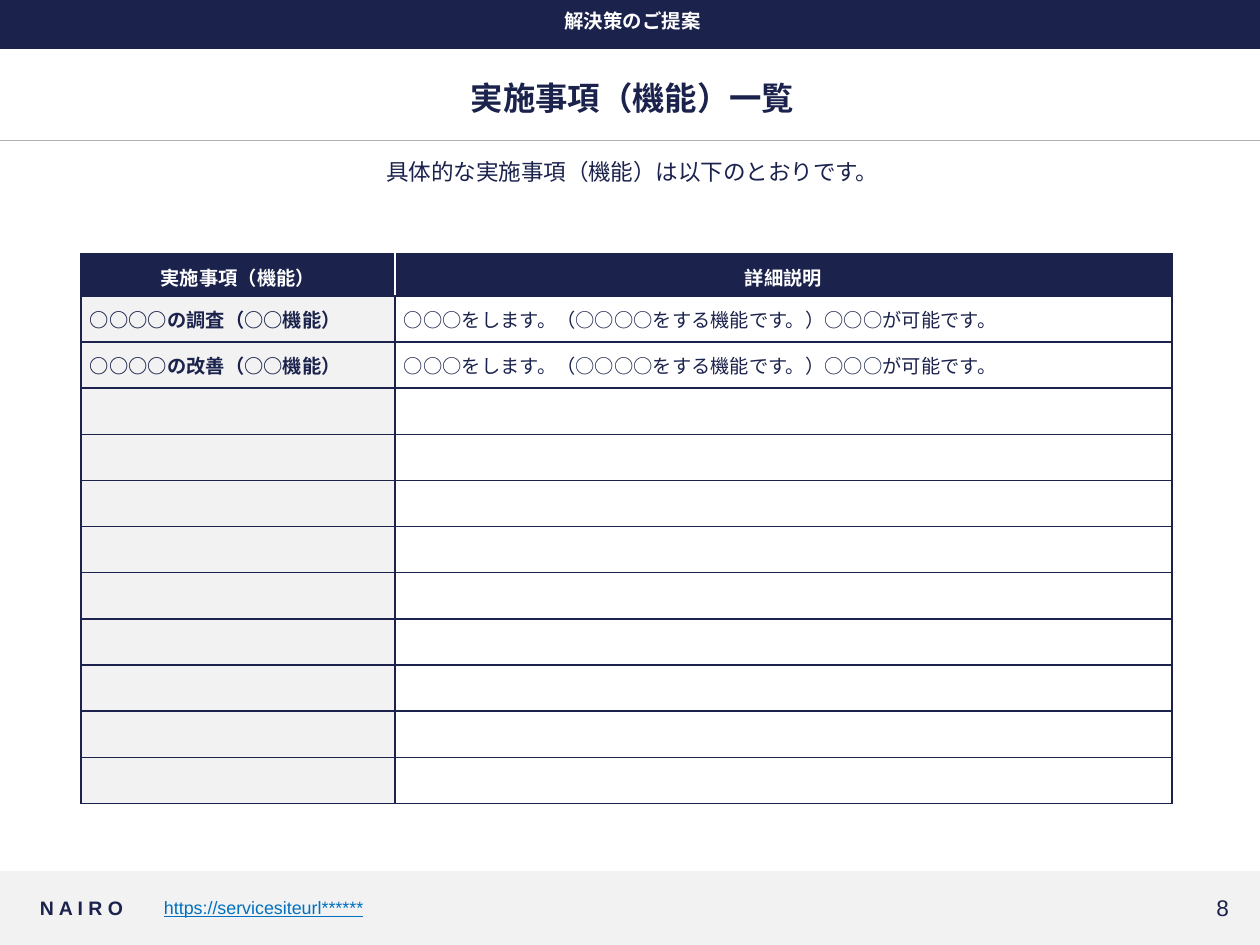
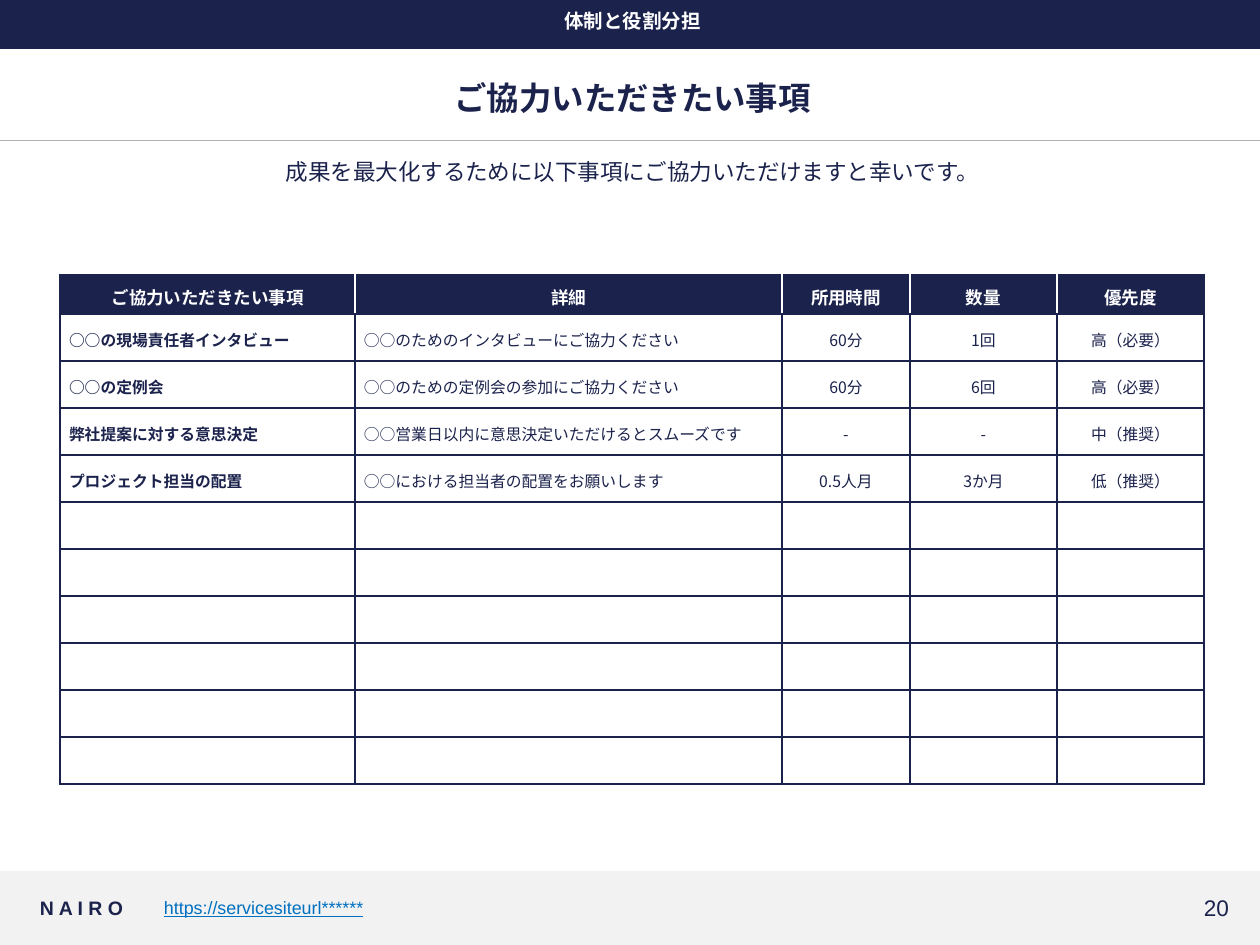
from lxml.etree import SubElement
from pptx import Presentation
from pptx.dml.color import RGBColor
from pptx.enum.shapes import MSO_CONNECTOR, MSO_SHAPE
from pptx.enum.text import MSO_ANCHOR, PP_ALIGN
from pptx.oxml.ns import qn
from pptx.util import Emu, Pt

NAVY, WHITE, PALE, GREY, LINK = "1B224C", "FFFFFF", "F2F2F2", "AFAFAF", "0070C0"
JP, LATIN = "Noto Sans CJK JP", "Arial"
LEFT, CENTER, RIGHT = PP_ALIGN.LEFT, PP_ALIGN.CENTER, PP_ALIGN.RIGHT
TOP, MIDDLE = MSO_ANCHOR.TOP, MSO_ANCHOR.MIDDLE
rgb = RGBColor.from_string


def px(n):
    """Turn pixels, 126 to the inch, into EMU."""
    return Emu(round(n * 914400 / 126))


def write(tf, text, size, font=JP, color=NAVY, bold=False, underline=False,
          align=LEFT, spacing=None):
    """Fill the first paragraph; an empty text still sets its line height."""
    p = tf.paragraphs[0]
    p.alignment = align
    if spacing:
        p.line_spacing = spacing
    if text:
        r = p.add_run()
        r.text = text
        r.font.size, r.font.bold, r.font.underline = Pt(size), bold, underline
        r.font.color.rgb = rgb(color)
        props = r._r.get_or_add_rPr()
    else:
        props = SubElement(p._p, qn("a:endParaRPr"), sz=str(size * 100))
    for tag in ("a:latin", "a:ea"):
        SubElement(props, qn(tag), typeface=font)


slides = [
    dict(
        chapter="解決策のご提案",
        title="実施事項（機能）一覧",
        lead="具体的な実施事項（機能）は以下のとおりです。",
        number="8",
        left=81, top=254, cols=[314, 777], head_height=42, row_count=11,
        head_size=11, body_size=11, pad_top=9, first_fill=PALE,
        rows=[
            ["実施事項（機能）", "詳細説明"],
            ["○○○○の調査（○○機能）",
             "○○○をします。（○○○○をする機能です。）○○○が可能です。"],
            ["○○○○の改善（○○機能）",
             "○○○をします。（○○○○をする機能です。）○○○が可能です。"],
        ],
    ),
    dict(
        chapter="体制と役割分担",
        title="ご協力いただきたい事項",
        lead="成果を最大化するために以下事項にご協力いただけますと幸いです。",
        number="20",
        left=60, top=275, cols=[295, 427, 128, 147, 147], head_height=39, row_count=10,
        head_size=10, body_size=9, pad_top=14, first_fill=None,
        rows=[
            ["ご協力いただきたい事項", "詳細", "所用時間", "数量", "優先度"],
            ["○○の現場責任者インタビュー", "○○のためのインタビューにご協力ください",
             "60分", "1回", "高（必要）"],
            ["○○の定例会", "○○のための定例会の参加にご協力ください",
             "60分", "6回", "高（必要）"],
            ["弊社提案に対する意思決定", "○○営業日以内に意思決定いただけるとスムーズです",
             "-", "-", "中（推奨）"],
            ["プロジェクト担当の配置", "○○における担当者の配置をお願いします",
             "0.5人月", "3か月", "低（推奨）"],
        ],
    ),
]

prs = Presentation()
prs.slide_width, prs.slide_height = px(1260), px(945)

for page in slides:
    s = prs.slides.add_slide(prs.slide_layouts[6])

    # Footer band, chapter band and title rule
    for y, h, color in [(871, 74, PALE), (-1, 50, NAVY)]:
        sp = s.shapes.add_shape(MSO_SHAPE.RECTANGLE, 0, px(y), px(1260), px(h))
        sp.shadow.inherit = False
        sp.fill.solid()
        sp.fill.fore_color.rgb = rgb(color)
        sp.line.fill.background()
    rule = s.shapes.add_connector(MSO_CONNECTOR.STRAIGHT, 0, px(140), px(1260), px(140))
    rule.line.color.rgb = rgb(GREY)
    rule.line.width = Pt(0.5)
    SubElement(rule._element.spPr, qn("a:effectLst"))

    # Headings and footer texts
    texts = [
        (page["chapter"], 60, 7, 1145, 36, TOP,
         dict(size=11.1, color=WHITE, bold=True, align=CENTER, spacing=0.9)),
        (page["title"], 60, 73, 1145, 49, MIDDLE, dict(size=18.5, bold=True, align=CENTER)),
        (page["lead"], 60, 156, 1145, 79, TOP, dict(size=12.9, align=CENTER, spacing=0.9)),
        ("N A I R O", 35, 888, 123, 39, MIDDLE, dict(size=11.1, font=LATIN, bold=True)),
        ("https://servicesiteurl******", 159, 888, 917, 39, MIDDLE,
         dict(size=10.2, font=LATIN, color=LINK, underline=True)),
        (page["number"], 1110, 888, 124, 39, MIDDLE,
         dict(size=12.9, font=LATIN, align=RIGHT)),
    ]
    for text, x, y, w, h, anchor, style in texts:
        tf = s.shapes.add_textbox(px(x), px(y), px(w), px(h)).text_frame
        tf.word_wrap = True
        tf.vertical_anchor = anchor
        tf.margin_left = tf.margin_right = tf.margin_top = tf.margin_bottom = px(5)
        write(tf, text, **style)

    # Table: header, filled rows, then blank rows
    cols = page["cols"]
    heights = [page["head_height"]] + [46] * page["row_count"]
    table = s.shapes.add_table(len(heights), len(cols), px(page["left"]), px(page["top"]),
                               px(sum(cols)), px(sum(heights))).table
    table.horz_banding = False
    for c, w in enumerate(cols):
        table.columns[c].width = px(w)
    for r, h in enumerate(heights):
        table.rows[r].height = px(h)
        values = page["rows"][r] if r < len(page["rows"]) else [""] * len(cols)
        head = r == 0
        for c, value in enumerate(values):
            cell = table.cell(r, c)
            cell.vertical_anchor = MIDDLE
            cell.margin_left = cell.margin_right = px(9)
            cell.margin_top = px(9 if head else page["pad_top"])
            cell.margin_bottom = px(9 if head else 14)
            write(cell.text_frame, value, page["head_size" if head else "body_size"],
                  color=WHITE if head else NAVY, bold=head or c == 0,
                  align=CENTER if head or c > 1 else LEFT)

            tc_pr = cell._tc.get_or_add_tcPr()
            inner_left, inner_right = head and c > 0, head and c < len(cols) - 1
            for side, white in [("L", inner_left), ("R", inner_right),
                                ("T", False), ("B", False)]:
                ln = SubElement(tc_pr, qn(f"a:ln{side}"), w=str(Pt(1)))
                fill = SubElement(ln, qn("a:solidFill"))
                SubElement(fill, qn("a:srgbClr"), val=WHITE if white else NAVY)

            color = NAVY if head else page["first_fill"] if c == 0 else None
            if color:
                cell.fill.solid()
                cell.fill.fore_color.rgb = rgb(color)
            else:
                cell.fill.background()

prs.save("out.pptx")
